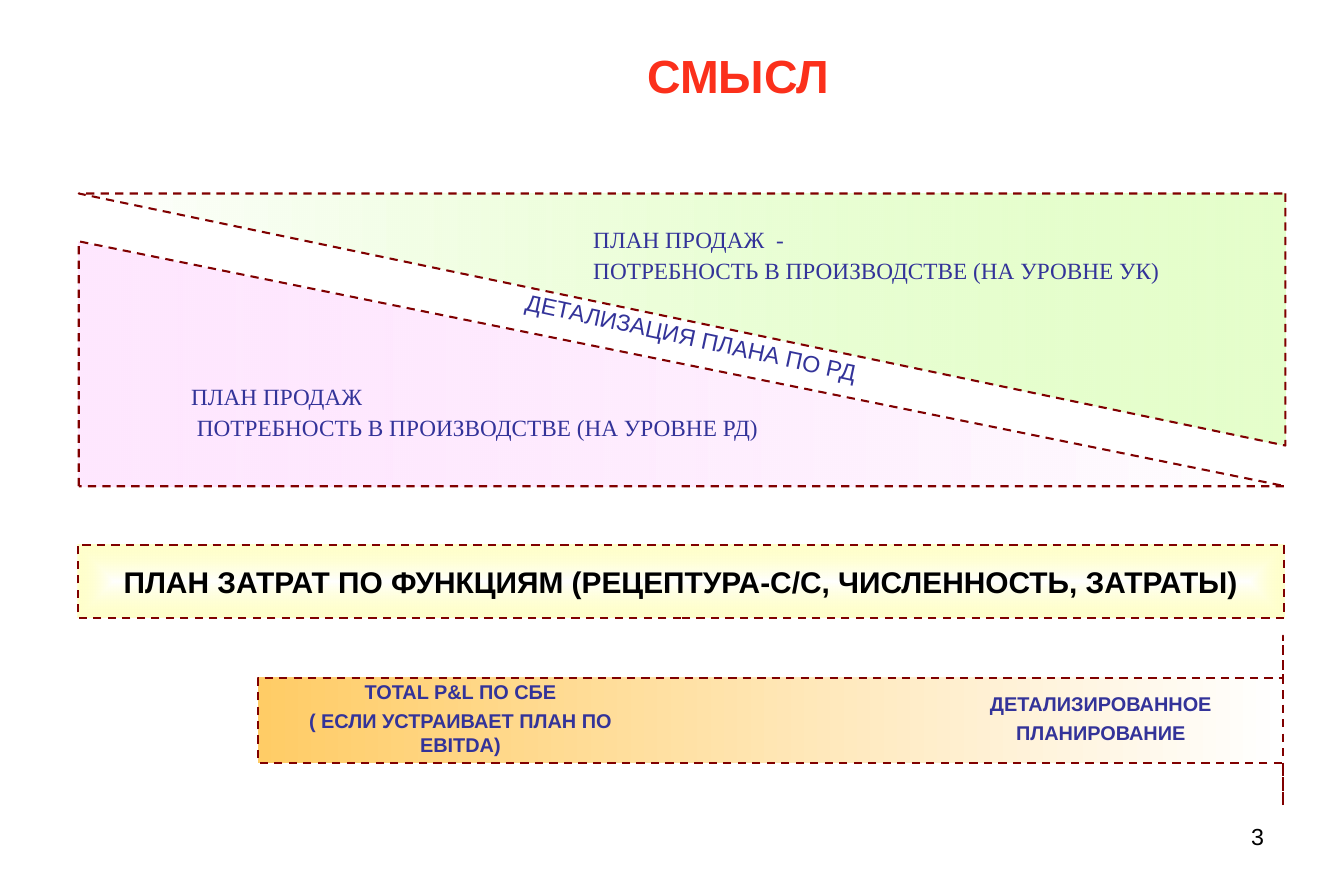
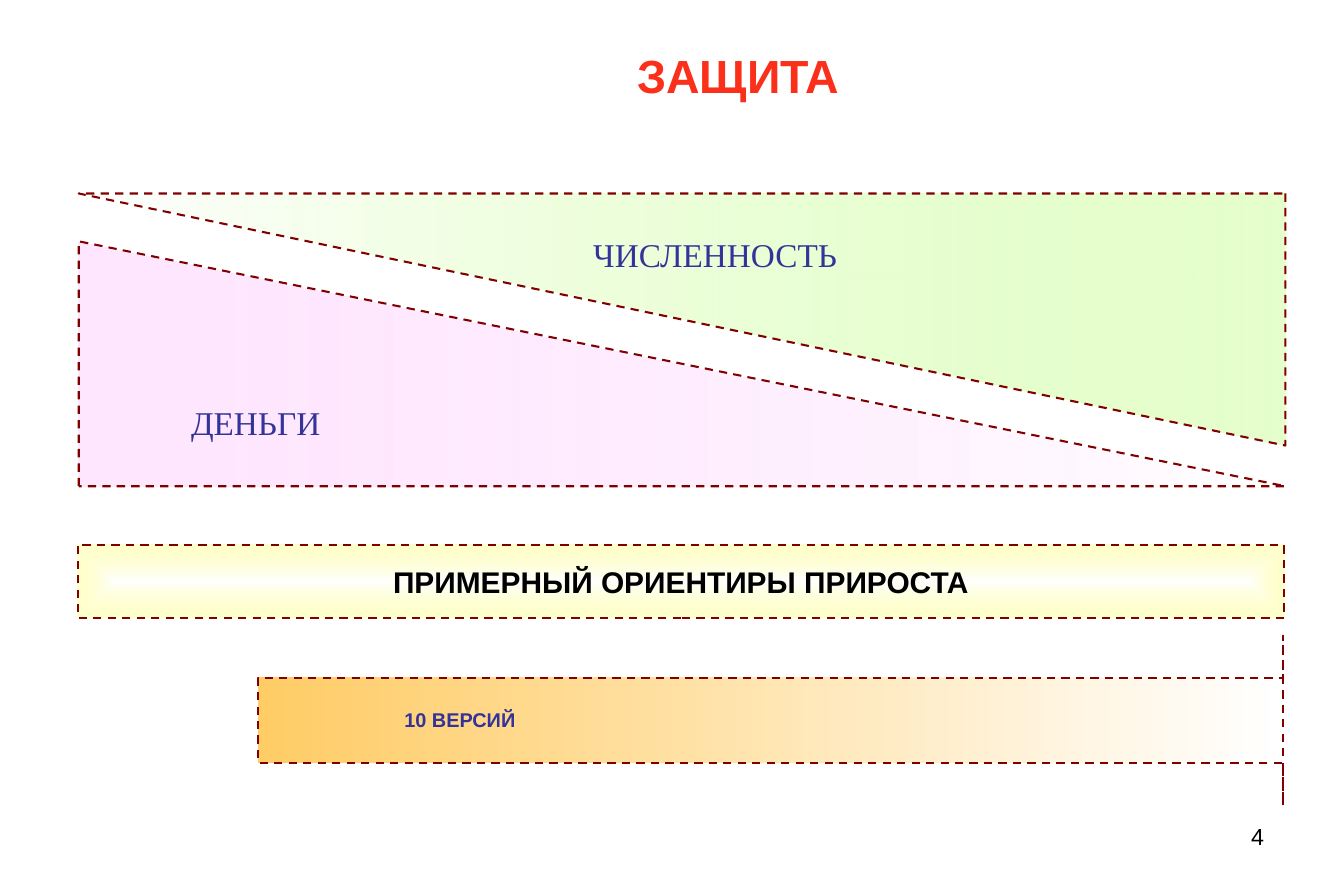
"""Builds two planning slides that share one diagram of wedges, a band and an arrow."""
from dataclasses import dataclass

from pptx import Presentation, oxml, util as u
from pptx.dml.color import RGBColor
from pptx.enum import dml, shapes, text
from pptx.oxml import ns


@dataclass(frozen=True)
class Theme:
    sans: str = "Arial"
    serif: str = "Times New Roman"
    red: str = "FB301B"
    navy: str = "333399"
    black: str = "000000"
    edge: str = "800000"
    white: str = "FFFFFF"
    green: str = "CCFF99"
    pink: str = "FFD1FF"
    cream: str = "FFFF99"
    gold: str = "FFCC66"
    title: int = 28
    big: int = 20
    band: int = 18
    body: int = 14
    small: int = 12


T = Theme()
KIND = shapes.MSO_SHAPE
MID = text.PP_ALIGN.CENTER
LEFT = text.PP_ALIGN.LEFT
RIGHT = text.PP_ALIGN.RIGHT

deck = Presentation()
deck.slide_width, deck.slide_height = u.Inches(11.25), u.Inches(7.5)
COL, ROW = deck.slide_width / 225, deck.slide_height / 150


def place(page, kind, spot, stops=(), path=""):
    """Adds a shape at a grid spot, with a gradient and dashed edge if stops are given."""
    left, top, wide, high = spot
    item = page.shapes.add_shape(
        kind, int(left * COL), int(top * ROW), int(wide * COL), int(high * ROW))
    item.shadow.inherit = False
    if not stops:
        item.fill.background()
        item.line.fill.background()
        return item
    marks = "".join(
        f'<a:gs pos="{pos}"><a:srgbClr val="{tint}"><a:alpha val="{alpha * 1000}"/></a:srgbClr></a:gs>'
        for pos, (tint, alpha) in zip((0, 100000), stops))
    fill = oxml.parse_xml(
        f'<a:gradFill {ns.nsdecls("a")} rotWithShape="0"><a:gsLst>{marks}</a:gsLst>{path}</a:gradFill>')
    item._element.spPr.insert(2, fill)
    item.line.color.rgb = RGBColor.from_string(T.edge)
    item.line.width = u.Pt(1.25)
    item.line.dash_style = dml.MSO_LINE.DASH
    return item


def write(item, lines, size, tint, font=T.sans, bold=False, align=MID, gap=0, pitch=1.0, wrap=True):
    """Writes one paragraph per line into the shape."""
    frame = item.text_frame
    frame.word_wrap = wrap
    frame.vertical_anchor = text.MSO_ANCHOR.MIDDLE
    for n, line in enumerate(lines):
        para = frame.add_paragraph() if n else frame.paragraphs[0]
        para.alignment = align
        para.space_before = u.Pt(gap)
        para.line_spacing = pitch
        run = para.add_run()
        run.text = line
        run.font.name, run.font.size, run.font.bold = font, u.Pt(size), bold
        run.font.color.rgb = RGBColor.from_string(tint)


FLAT = '<a:lin ang="0" scaled="0"/>'
BACK = '<a:lin ang="10800000" scaled="0"/>'
CORE = '<a:path path="rect"><a:fillToRect l="50000" t="50000" r="50000" b="50000"/></a:path>'

pages = [
    dict(
        title="СМЫСЛ", size=T.body, gap=3.5, foot=0.25,
        top=["ПЛАН ПРОДАЖ  -", "ПОТРЕБНОСТЬ В ПРОИЗВОДСТВЕ (НА УРОВНЕ УК)"],
        low=["ПЛАН ПРОДАЖ", " ПОТРЕБНОСТЬ В ПРОИЗВОДСТВЕ (НА УРОВНЕ РД)"],
        band="ПЛАН ЗАТРАТ ПО ФУНКЦИЯМ (РЕЦЕПТУРА-С/С, ЧИСЛЕННОСТЬ, ЗАТРАТЫ)",
        notes=[
            ((162.4, 113.8, 43.8, 12.8), ["ДЕТАЛИЗИРОВАННОЕ", "ПЛАНИРОВАНИЕ"], False),
            ((47.8, 112, 58.6, 16.4),
             ["TOTAL P&L ПО СБЕ", "( ЕСЛИ УСТРАИВАЕТ ПЛАН ПО EBITDA)"], True),
        ],
        slope=["ДЕТАЛИЗАЦИЯ ПЛАНА ПО РД"],
    ),
    dict(
        title="ЗАЩИТА", size=T.big, gap=5, foot=0.05,
        top=["ЧИСЛЕННОСТЬ"], low=["ДЕНЬГИ"],
        band="ПРИМЕРНЫЙ ОРИЕНТИРЫ ПРИРОСТА",
        notes=[((48.2, 117, 57.6, 6.8), ["10 ВЕРСИЙ"], True)],
        slope=[],
    ),
]

for num, data in enumerate(pages, 3):
    page = deck.slides.add_slide(deck.slide_layouts[5])

    head = page.shapes.title
    head.left, head.top = int(22.4 * COL), 0
    head.width, head.height = int(202.4 * COL), int(25 * ROW)
    write(head, [data["title"]], T.title, T.red, bold=True)

    mark = page.shapes.add_textbox(
        int(161.2 * COL), int(136.6 * ROW), int(52.4 * COL), int(10.4 * ROW))
    write(mark, [str(num)], T.body, T.black, align=RIGHT)
    mark.text_frame.vertical_anchor = text.MSO_ANCHOR.TOP

    upper = place(page, KIND.RIGHT_TRIANGLE, (13.2, 32.4, 202, 42.2),
                  [(T.green, 50), (T.white, 100)], FLAT)
    upper._element.spPr.xfrm.set("flipH", "1")
    upper._element.spPr.xfrm.set("flipV", "1")
    upper.text_frame._txBody.bodyPr.set("rot", "10800000")
    lower = place(page, KIND.RIGHT_TRIANGLE, (13.2, 40.4, 202, 41),
                  [(T.pink, 50), (T.white, 100)], FLAT)
    lower.text_frame.margin_bottom = u.Inches(data["foot"])
    for wedge, lines in ((upper, data["top"]), (lower, data["low"])):
        write(wedge, lines, data["size"], T.navy, font=T.serif, align=LEFT,
              gap=data["gap"], pitch=0.9, wrap=False)

    band = place(page, KIND.RECTANGLE, (13, 91.2, 202, 12.2),
                 [(T.white, 100), (T.cream, 50)], CORE)
    write(band, [data["band"]], T.band, T.black, bold=True, wrap=False)

    arrow = place(page, KIND.DOWN_ARROW, (114.8, 34.8, 28.4, 171.6),
                  [(T.white, 100), (T.gold, 100)], BACK)
    arrow.rotation = 270
    arrow.adjustments[0], arrow.adjustments[1] = 0.5, -1.07

    for spot, lines, wrap in data["notes"]:
        note = place(page, KIND.ROUNDED_RECTANGLE, spot)
        write(note, lines, T.small, T.navy, bold=True, gap=3, wrap=wrap)

    if data["slope"]:
        slope = place(page, KIND.RECTANGLE, (73.2, 53, 85, 6.8))
        slope.rotation = 12.2
        write(slope, data["slope"], T.body, T.navy)

deck.save("out.pptx")
